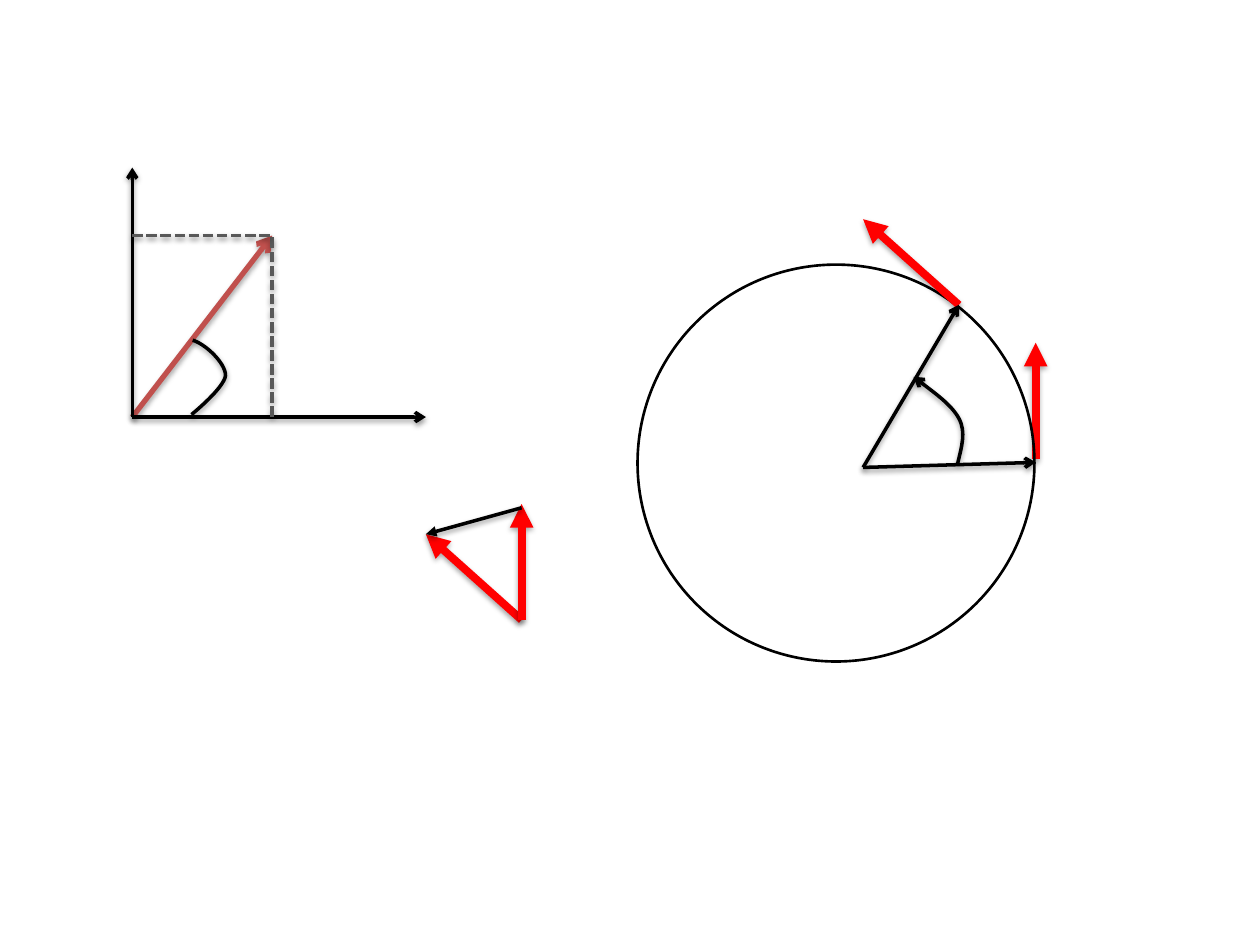
from lxml import etree
from pptx import Presentation
from pptx.dml.color import RGBColor
from pptx.enum.dml import MSO_LINE
from pptx.enum.shapes import MSO_CONNECTOR, MSO_SHAPE
from pptx.oxml.ns import qn
from pptx.util import Inches, Pt

STRAIGHT = MSO_CONNECTOR.STRAIGHT
OVAL = MSO_SHAPE.OVAL
DASH = MSO_LINE.SQUARE_DOT

# Line styles: colour, width, arrowhead, dash, shadow share and distance
AXIS = ("000000", 2, "arrow", None, 38, 1.6)
ARC = ("000000", 2, None, None, 38, 1.6)
DIFF = ("000000", 2, "triangle", None, 38, 1.6)
GUIDE = ("595959", 2, None, DASH, 38, 1.6)
VECTOR = ("C0504D", 3, "arrow", None, 35, 1.8)
SPEED = ("FF0000", 4.5, "triangle", None, 35, 1.8)

# Key points, in inches
BASE = 3.31                       # height of the x axis
ZERO = (1.05, BASE)
TIP = (2.16, 1.87)                # end of the plane vector
HUB, EAST, RIM = (6.85, 3.71), (8.22, 3.67), (7.61, 2.42)
RING = (5.06, 2.1, 3.15, 3.15)
V1, V2 = (0, -0.92), (-0.76, -0.68)   # the two speeds
TAIL = (4.14, 4.92)               # shared tail in the triangle


def add(spot, step):
    return spot[0] + step[0], spot[1] + step[1]


PLANE = [
    (ZERO, TIP, VECTOR),
    (ZERO, (3.38, BASE), AXIS),
    (ZERO, (1.05, 1.33), AXIS),
]
GUIDES = [
    ((TIP[0], BASE), TIP, GUIDE),
    ((ZERO[0], TIP[1]), TIP, GUIDE),
]
START = (EAST[0], 3.64)
RADII = [
    (RIM, add(RIM, V2), SPEED),
    (HUB, EAST, AXIS),
    (HUB, RIM, AXIS),
]
CHANGE = [
    (TAIL, add(TAIL, V2), SPEED),
    (TAIL, add(TAIL, V1), SPEED),
    ((TAIL[0], 4.03), add(TAIL, V2), DIFF),
]
# Curves: first point, then two controls and an end for each bend
ANGLE = [(1.53, 2.7), (1.63, 2.73), (1.79, 2.88), (1.79, 2.98),
         (1.78, 3.08), (1.52, 3.29), (1.52, 3.29)]
TURN = [(7.6, 3.68), (7.63, 3.55), (7.67, 3.43), (7.61, 3.32),
        (7.55, 3.21), (7.25, 2.99), (7.25, 2.99)]


def color(code):
    return RGBColor.from_string(code)


def child(node, tag, **attrs):
    return etree.SubElement(node, qn(tag), attrs)


def style(shape, look):
    code, width, head, dash, share, dist = look
    line = shape.line
    line.color.rgb = color(code)
    line.width = Pt(width)
    if dash:
        line.dash_style = dash
    props = shape.element.spPr
    if head:
        child(props.find(qn("a:ln")), "a:tailEnd", type=head)
    glow = child(child(props, "a:effectLst"), "a:outerShdw",
                 blurRad=str(Pt(3.1)), dist=str(Pt(dist)),
                 dir="5400000", rotWithShape="0")
    tint = child(glow, "a:srgbClr", val="000000")
    child(tint, "a:alpha", val=str(share * 1000))


def lines(shapes, rows):
    for start, end, look in rows:
        ends = [Inches(n) for n in start + end]
        style(shapes.add_connector(STRAIGHT, *ends), look)


def curve(shapes, spots, look):
    first, *rest = [(Inches(x), Inches(y)) for x, y in spots]
    build = shapes.build_freeform(*first)
    build.add_line_segments(rest, close=False)
    shape = build.convert_to_shape()
    # Join each three straight steps into one Bezier bend
    trace = shape.element.spPr.find(".//" + qn("a:path"))
    steps = trace.findall(qn("a:lnTo"))
    for i in range(0, len(steps), 3):
        bend = child(trace, "a:cubicBezTo")
        for step in steps[i:i + 3]:
            bend.append(step[0])
            trace.remove(step)
    shape.fill.background()
    style(shape, look)


def main():
    deck = Presentation()
    deck.slide_width, deck.slide_height = Inches(10), Inches(7.5)
    shapes = deck.slides.add_slide(deck.slide_layouts[6]).shapes

    # Vector in the plane, with its angle and components
    lines(shapes, PLANE)
    curve(shapes, ANGLE, ARC)
    lines(shapes, GUIDES)

    # Circular motion
    lines(shapes, [(START, add(START, V1), SPEED)])
    ring = shapes.add_shape(OVAL, *[Inches(n) for n in RING])
    ring.shadow.inherit = False
    ring.fill.background()
    ring.line.color.rgb = color("000000")
    ring.line.width = Pt(1.5)
    lines(shapes, RADII)
    curve(shapes, TURN, AXIS)

    # Triangle of the change in speed
    lines(shapes, CHANGE)
    deck.save("out.pptx")


if __name__ == "__main__":
    main()
